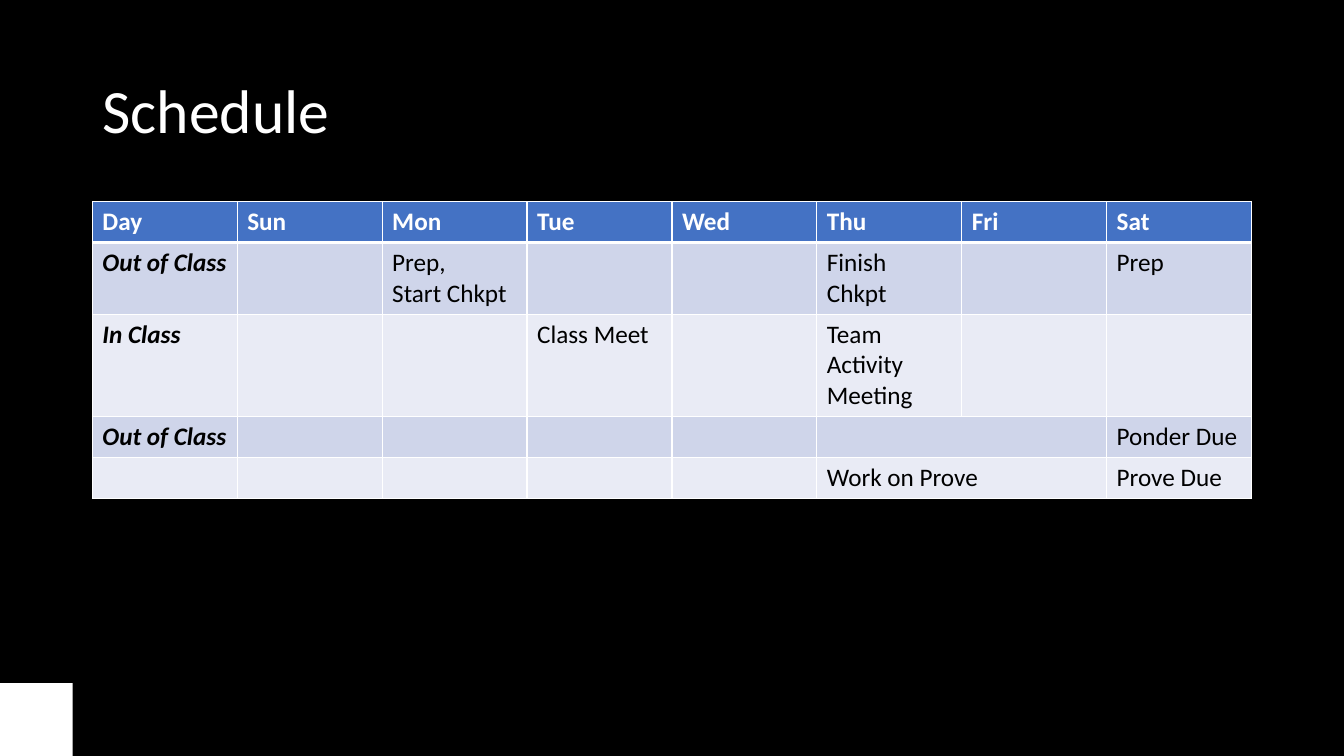
from dataclasses import dataclass

from lxml.etree import SubElement
from pptx import Presentation
from pptx.dml.color import RGBColor
from pptx.enum.shapes import MSO_SHAPE
from pptx.enum.text import MSO_ANCHOR, PP_ALIGN
from pptx.oxml.ns import qn
from pptx.util import Pt


@dataclass(frozen=True)
class Theme:
    font: str = "Calibri"
    title_size: int = 44
    table_size: int = 18
    background: str = "000000"
    light: str = "FFFFFF"
    dark: str = "000000"
    header: str = "4472C4"
    bands: tuple = ("CFD5EA", "E9EBF5")


THEME = Theme()
LEFT, CONTENT_WIDTH = 66, 828
CORNER_SIDE = 52
DAYS = ["Day", "Sun", "Mon", "Tue", "Wed", "Thu", "Fri", "Sat"]
SCHEDULE = [
    DAYS,
    ["Out of Class", "", "Prep,\nStart Chkpt", "", "", "Finish Chkpt", "", "Prep"],
    ["In Class", "", "", "Class Meet", "", "Team Activity Meeting", "", ""],
    ["Out of Class", "", "", "", "", "", "", "Ponder Due"],
    ["", "", "", "", "", "Work on Prove", "", "Prove Due"],
]
ROW_HEIGHTS = [29.2, 51.2, 73.2, 29.2, 29.2]
MERGED_ROWS = [3, 4]


def write_text(text_frame, text, size, color, bold=False, italic=False, line_spacing=None):
    text_frame.text = text
    for paragraph in text_frame.paragraphs:
        paragraph.alignment = PP_ALIGN.LEFT
        paragraph.line_spacing = line_spacing
        font = paragraph.font
        for run in paragraph.runs:
            font = run.font
            font.name = THEME.font
            font.size = Pt(size)
            font.bold = bold
            font.italic = italic
            font.color.rgb = RGBColor.from_string(color)


def add_corner_square(slide, slide_height):
    shape = slide.shapes.add_shape(
        MSO_SHAPE.RECTANGLE, 0, slide_height - Pt(CORNER_SIDE), Pt(CORNER_SIDE), Pt(CORNER_SIDE)
    )
    shape.shadow.inherit = False
    shape.fill.solid()
    shape.fill.fore_color.rgb = RGBColor.from_string(THEME.light)
    shape.line.fill.background()


def place_title(slide, text):
    title = slide.shapes.title
    title.left, title.top = Pt(LEFT), Pt(28.8)
    title.width, title.height = Pt(CONTENT_WIDTH), Pt(104.4)
    title.text_frame.vertical_anchor = MSO_ANCHOR.MIDDLE
    write_text(title.text_frame, text, size=THEME.title_size, color=THEME.light, line_spacing=0.9)


def set_borders(cell, top, bottom):
    properties = cell._tc.get_or_add_tcPr()
    for side, width in (("L", 1), ("R", 1), ("T", top), ("B", bottom)):
        line = SubElement(properties, qn(f"a:ln{side}"), w=str(Pt(width)))
        fill = SubElement(line, qn("a:solidFill"))
        SubElement(fill, qn("a:srgbClr"), val=THEME.light)


def format_cell(cell, text, row_index, column_index):
    is_header = row_index == 0
    is_label = column_index == 0 and not is_header
    set_borders(cell, top=3 if row_index == 1 else 1, bottom=3 if is_header else 1)
    cell.fill.solid()
    fill_color = THEME.header if is_header else THEME.bands[(row_index - 1) % 2]
    cell.fill.fore_color.rgb = RGBColor.from_string(fill_color)
    write_text(
        cell.text_frame,
        text,
        size=THEME.table_size,
        color=THEME.light if is_header else THEME.dark,
        bold=is_header or is_label,
        italic=is_label,
    )


def add_schedule_table(slide):
    table = slide.shapes.add_table(
        len(SCHEDULE), len(DAYS), Pt(LEFT), Pt(144), Pt(CONTENT_WIDTH), Pt(sum(ROW_HEIGHTS))
    ).table
    for column in table.columns:
        column.width = Pt(CONTENT_WIDTH / len(DAYS))
    for row_index, (height, texts) in enumerate(zip(ROW_HEIGHTS, SCHEDULE)):
        table.rows[row_index].height = Pt(height)
        for column_index, text in enumerate(texts):
            format_cell(table.cell(row_index, column_index), text, row_index, column_index)
    thursday, friday = DAYS.index("Thu"), DAYS.index("Fri")
    for row_index in MERGED_ROWS:
        table.cell(row_index, thursday).merge(table.cell(row_index, friday))


def main():
    presentation = Presentation()
    presentation.slide_width, presentation.slide_height = Pt(960), Pt(540)
    slide = presentation.slides.add_slide(presentation.slide_layouts[5])
    slide.background.fill.solid()
    slide.background.fill.fore_color.rgb = RGBColor.from_string(THEME.background)
    add_corner_square(slide, presentation.slide_height)
    place_title(slide, "Schedule")
    add_schedule_table(slide)
    presentation.save("out.pptx")


if __name__ == "__main__":
    main()
